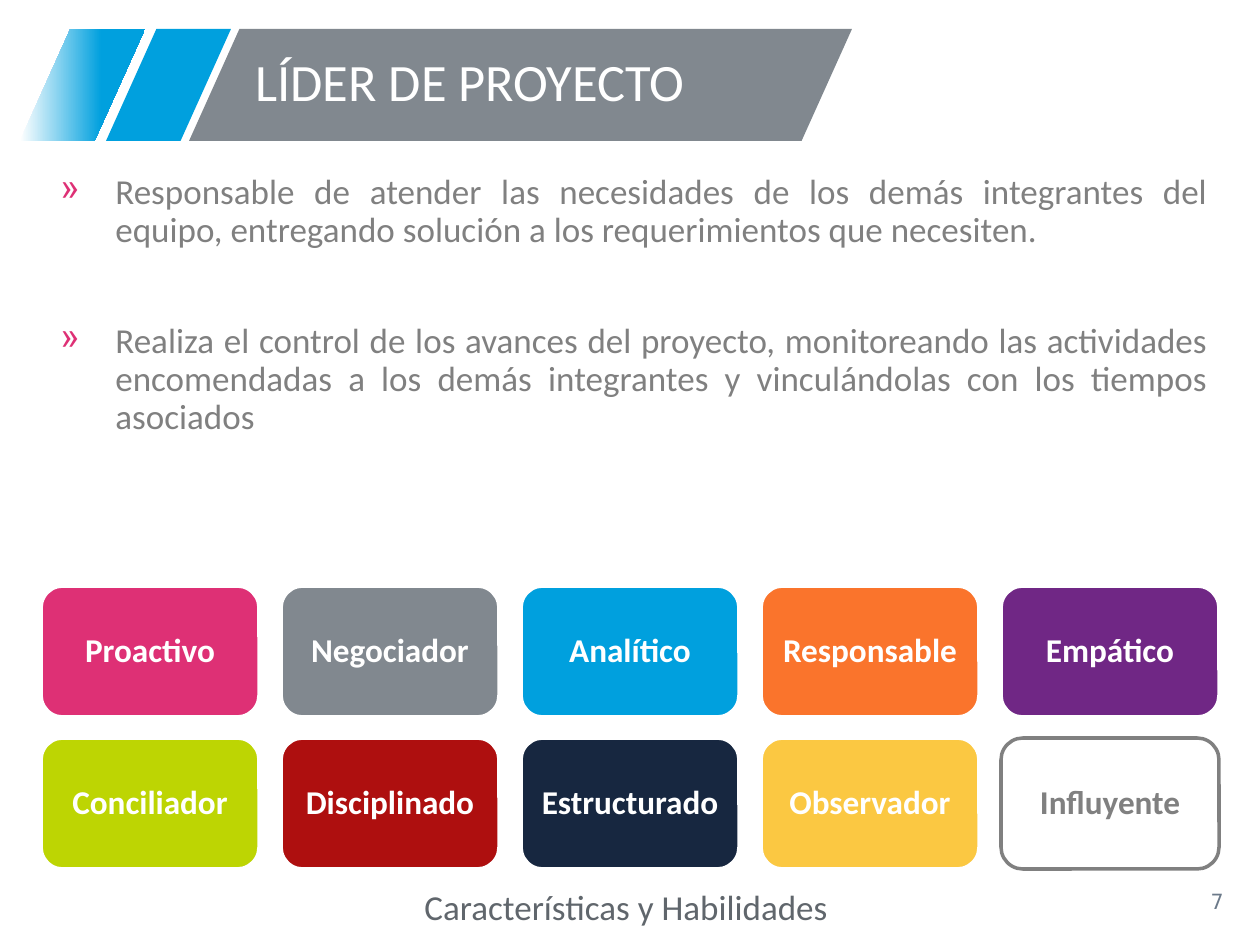
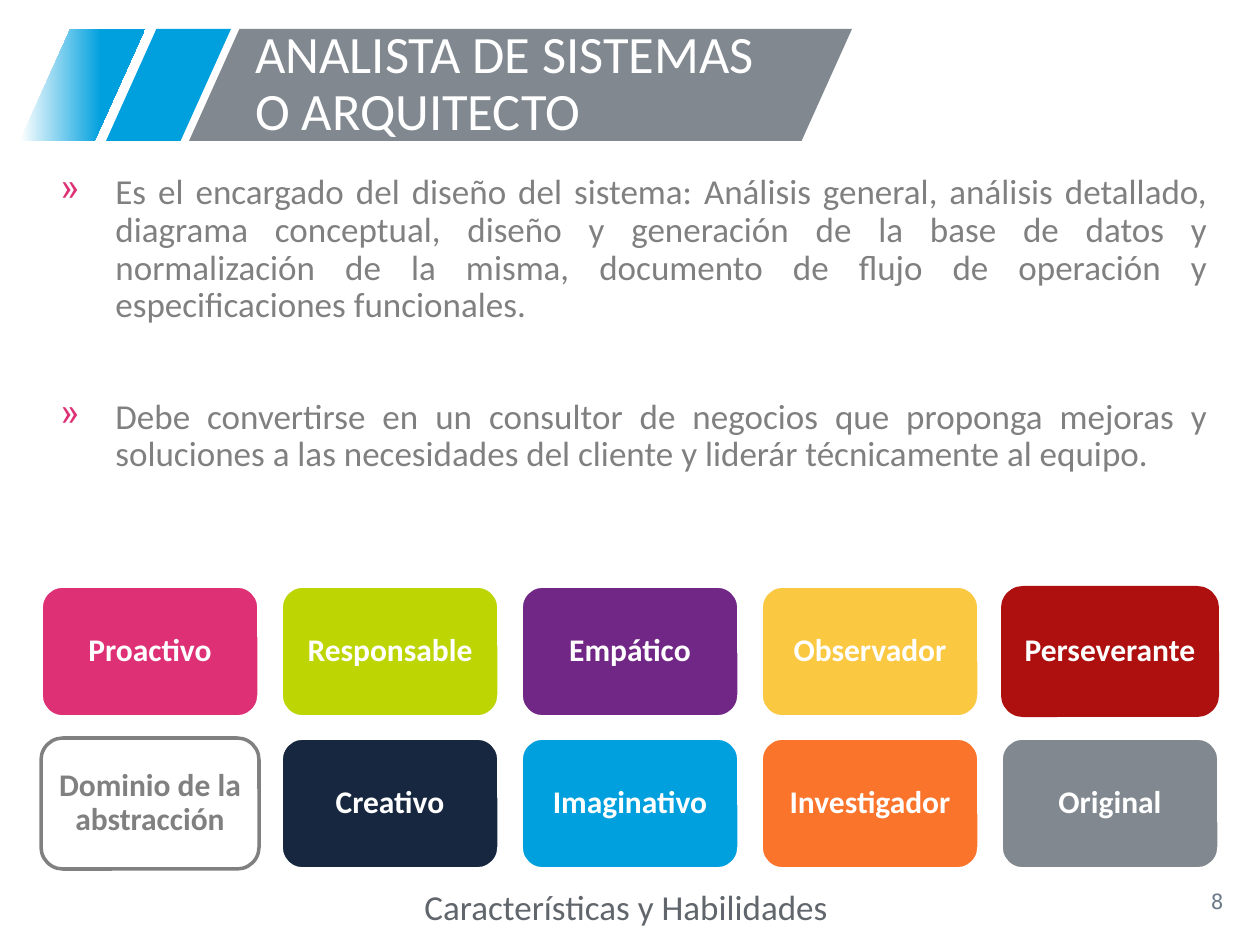
import pptx
import pptx.util
import pptx.dml.color
import pptx.enum.shapes
import pptx.enum.text
import lxml.etree

PX = 914400 / 126
SHAPE = pptx.enum.shapes.MSO_SHAPE
ALIGN = pptx.enum.text.PP_ALIGN
ANCHOR = pptx.enum.text.MSO_ANCHOR
FONT = "Calibri"
COLORS = {
    "white": "FFFFFF", "pink": "DE3075", "slate": "81888F", "blue": "00A0DE",
    "orange": "FA742C", "purple": "702785", "lime": "BDD503", "red": "AE0F0F",
    "navy": "172740", "yellow": "FBC842", "gray": "808080",
    "caption": "60666C", "number": "6C7A8A",
}
CAPTION = "Características y Habilidades"

# Content: title, page number, duties, skill text size and inset, skills with colours
ROLES = [
    ("LÍDER DE PROYECTO", "7", [
        "Responsable de atender las necesidades de los demás integrantes del equipo, "
        "entregando solución a los requerimientos que necesiten.",
        "Realiza el control de los avances del proyecto, monitoreando las actividades "
        "encomendadas a los demás integrantes y vinculándolas con los tiempos asociados",
    ], 19, 10, [
        ("Proactivo", "pink"), ("Negociador", "slate"), ("Analítico", "blue"),
        ("Responsable", "orange"), ("Empático", "purple"),
        ("Conciliador", "lime"), ("Disciplinado", "red"), ("Estructurado", "navy"),
        ("Observador", "yellow"), ("Influyente", "white"),
    ]),
    ("ANALISTA DE SISTEMAS\vO ARQUITECTO", "8", [
        "Es el encargado del diseño del sistema: Análisis general, análisis detallado, "
        "diagrama conceptual, diseño y generación de la base de datos y normalización "
        "de la misma, documento de flujo de operación y especificaciones funcionales.",
        "Debe convertirse en un consultor de negocios que proponga mejoras y soluciones "
        "a las necesidades del cliente y liderár técnicamente al equipo.",
    ], 18, 9, [
        ("Proactivo", "pink"), ("Responsable", "lime"), ("Empático", "purple"),
        ("Observador", "yellow"), ("Perseverante", "red"),
        ("Dominio de la abstracción", "white"), ("Creativo", "navy"),
        ("Imaginativo", "blue"), ("Investigador", "orange"), ("Original", "slate"),
    ]),
]


def box(left, top, width, height):
    return [round(length * PX) for length in (left, top, width, height)]


def write(shape, lines, size, color, align=ALIGN.LEFT, anchor=ANCHOR.MIDDLE,
          spacing=0.9, bold=False, font=FONT):
    frame = shape.text_frame
    frame.word_wrap = True
    frame.vertical_anchor = anchor
    frame.text = "\n".join(lines)
    for paragraph in frame.paragraphs:
        paragraph.alignment = align
        paragraph.line_spacing = spacing
        paragraph.font.name = font
        paragraph.font.size = pptx.util.Pt(size)
        paragraph.font.bold = bold
        paragraph.font.color.rgb = pptx.dml.color.RGBColor.from_string(COLORS[color])
    return frame


deck = pptx.Presentation()
deck.slide_width, deck.slide_height = box(0, 0, 1260, 945)[2:]

for title, number, duties, skill_size, skill_inset, skills in ROLES:
    slide = deck.slides.add_slide(deck.slide_layouts[6])

    # Slanted title band
    for left, width, color in [(106, 125, "blue"), (20, 125, "fade"), (189, 663, "slate")]:
        band = slide.shapes.add_shape(SHAPE.PARALLELOGRAM, *box(left, 29, width, 112))
        band.adjustments[0] = 0.45
        band.shadow.inherit = False
        band.line.fill.background()
        if color == "fade":
            band.fill.gradient()
            band.fill.gradient_angle = 0
            for stop, position, tone in zip(band.fill.gradient_stops, (0, 0.65), ("white", "blue")):
                stop.position = position
                stop.color.rgb = pptx.dml.color.RGBColor.from_string(COLORS[tone])
        else:
            band.fill.solid()
            band.fill.fore_color.rgb = pptx.dml.color.RGBColor.from_string(COLORS[color])
    write(slide.shapes.add_textbox(*box(243, 29, 591, 112)), [title], 30, "white")

    # Page number
    write(slide.shapes.add_textbox(*box(953, 876, 283, 50)), [number], 12, "number",
          ALIGN.RIGHT, spacing=1, font="DejaVu Sans Mono")

    # Duties
    duty_box = slide.shapes.add_textbox(*box(40, 168, 1180, 234))
    duty_box.text_frame.text = "\n".join(duties)
    duty_frame = write(duty_box, duties, 20, "gray", ALIGN.JUSTIFY, ANCHOR.TOP)
    for paragraph in duty_frame.paragraphs:
        properties = paragraph._p.get_or_add_pPr()
        properties.set("marL", str(round(63 * PX)))
        properties.set("indent", str(round(-55 * PX)))
        bullet_color = lxml.etree.SubElement(properties, pptx.oxml.ns.qn("a:buClr"))
        lxml.etree.SubElement(bullet_color, pptx.oxml.ns.qn("a:srgbClr"), val=COLORS["pink"])
        lxml.etree.SubElement(properties, pptx.oxml.ns.qn("a:buChar"), char="»")
        # Default run properties come after the bullet
        properties.append(properties.find(pptx.oxml.ns.qn("a:defRPr")))
    duty_frame.paragraphs[1].space_before = pptx.util.Pt(42)

    # Skill cards, five to a row
    for index, (skill, color) in enumerate(skills):
        row, column = divmod(index, 5)
        card = slide.shapes.add_shape(
            SHAPE.ROUNDED_RECTANGLE, *box(41 + 240 * column, 586 + 152 * row, 218, 131))
        card.shadow.inherit = False
        card.fill.solid()
        card.fill.fore_color.rgb = pptx.dml.color.RGBColor.from_string(COLORS[color])
        if skill == "Perseverante":
            card.line.fill.background()
        else:
            outline = "gray" if color == "white" else "white"
            card.line.color.rgb = pptx.dml.color.RGBColor.from_string(COLORS[outline])
            card.line.width = pptx.util.Pt(2)
        skill_frame = write(card, [skill], skill_size, "gray" if color == "white" else "white",
                            ALIGN.CENTER, bold=True)
        skill_frame.margin_left = skill_frame.margin_right = round(skill_inset * PX)
        skill_frame.margin_top = skill_frame.margin_bottom = round(skill_inset * PX)

    # Caption under the cards
    caption_frame = write(slide.shapes.add_textbox(*box(412, 879, 436, 55)), [CAPTION], 20,
                          "caption", anchor=ANCHOR.TOP, spacing=1)
    caption_frame.word_wrap = False
    caption_frame.auto_size = pptx.enum.text.MSO_AUTO_SIZE.SHAPE_TO_FIT_TEXT

deck.save("out.pptx")
